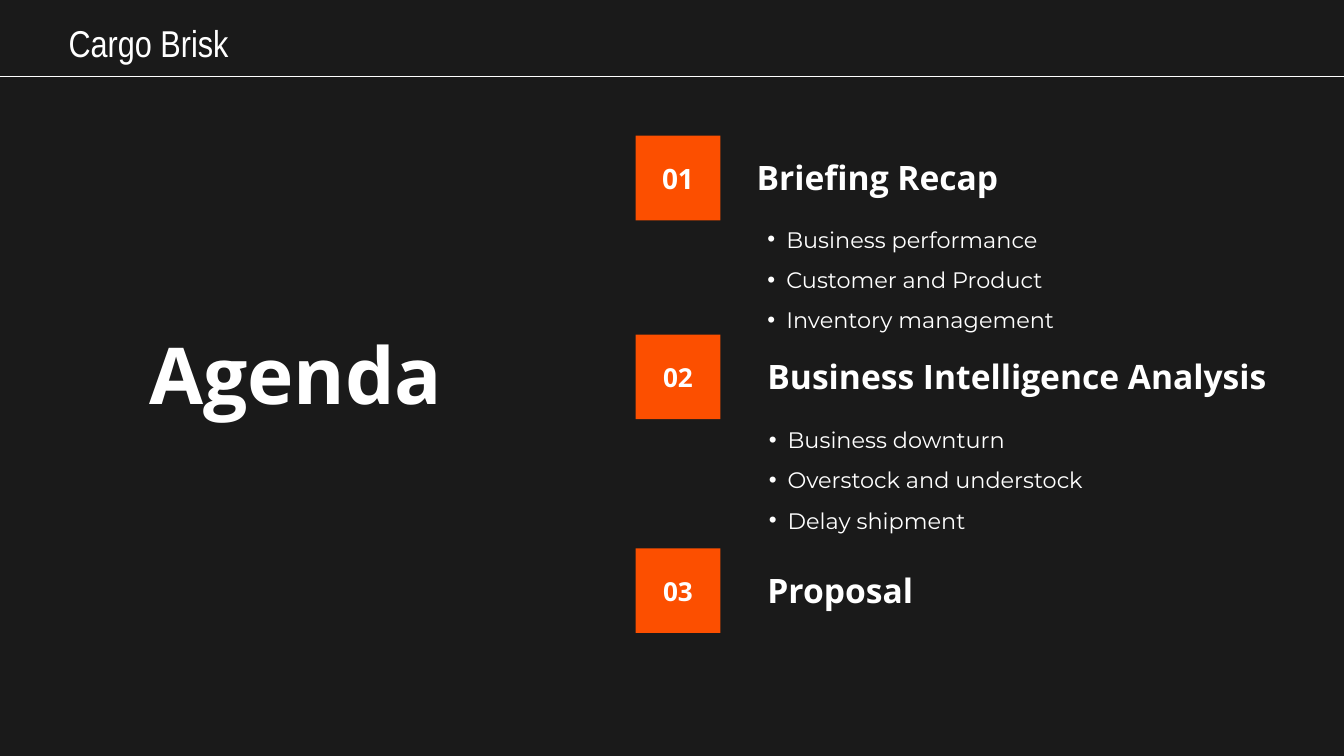
import pptx
import pptx.util
import pptx.dml.color
import pptx.enum.shapes
import pptx.enum.text
import pptx.oxml
import pptx.oxml.ns

Inches, Pt = pptx.util.Inches, pptx.util.Pt
ALIGN = pptx.enum.text.PP_ALIGN

# Content
BRAND = "Cargo Brisk"
TITLE = "Agenda"
TOPICS = [  # number, its size, top, heading, its left and width, list left and top, points
    ("01", 15, 1.01, "Briefing Recap", 5.56, 4.06, 5.64, 1.54,
     ["Business performance", "Customer and Product", "Inventory management"]),
    ("02", 14, 2.49, "Business Intelligence Analysis", 5.64, 4.06, 5.65, 3.03,
     ["Business downturn", "Overstock and understock", "Delay shipment"]),
    ("03", 14, 4.08, "Proposal", 5.64, 1.57, 0, 0, []),
]

# Look
WIDE = 10
HIGH = WIDE * 9 / 16
COLORS = {"back": "1A1A1A", "text": "FFFFFF", "box": "FC4F00"}
FONTS = {
    "brand": {"name": "Arial Narrow", "size": Pt(20)},
    "title": {"name": "Open Sans", "size": Pt(42), "bold": True},
    "head": {"name": "Open Sans", "size": Pt(18), "bold": True},
    "num": {"name": "Open Sans", "bold": True},
    "point": {"name": "Montserrat", "size": Pt(12)},
}
PADS = {"margin_left": Inches(0.07), "margin_right": Inches(0.07),
        "margin_top": Inches(0.04), "margin_bottom": Inches(0.04),
        "word_wrap": True}
BOX_X, BOX = 4.73, 0.63
HEAD_GAP, HEAD_H = 0.12, 0.38
LIST_W, LIST_H, INDENT = 3.88, 0.88, 0.14


def color(key):
    return pptx.dml.color.RGBColor.from_string(COLORS[key])


def apply(item, values):
    for key, value in values.items():
        setattr(item, key, value)


def write(shape, lines, style, align=ALIGN.LEFT):
    frame = shape.text_frame
    apply(frame, PADS)
    for i, line in enumerate(lines):
        para = frame.paragraphs[0] if i == 0 else frame.add_paragraph()
        para.alignment = align
        run = para.add_run()
        run.text = line
        apply(run.font, style)
        run.font.color.rgb = color("text")
    return frame


def add_text(slide, area, lines, style, align=ALIGN.LEFT):
    shape = slide.shapes.add_textbox(*map(Inches, area))
    return write(shape, lines, style, align)


def add_box(slide, top, num, size):
    area = map(Inches, (BOX_X, top, BOX, BOX))
    box = slide.shapes.add_shape(pptx.enum.shapes.MSO_SHAPE.RECTANGLE, *area)
    box.shadow.inherit = False
    box.fill.solid()
    box.fill.fore_color.rgb = color("box")
    box.line.fill.background()
    frame = write(box, [num], {**FONTS["num"], "size": Pt(size)}, ALIGN.CENTER)
    frame.vertical_anchor = pptx.enum.text.MSO_ANCHOR.MIDDLE


def add_bullet(para):
    para.line_spacing = 1.5
    props = para._p.get_or_add_pPr()
    props.set("marL", str(Inches(INDENT)))
    props.set("indent", str(-Inches(INDENT)))
    space = pptx.oxml.ns.nsdecls("a")
    for part in (
        f'<a:buClr {space}><a:srgbClr val="{COLORS["text"]}"/></a:buClr>',
        f'<a:buFont {space} typeface="Arial"/>',
        f'<a:buChar {space} char="•"/>',
    ):
        props.append(pptx.oxml.parse_xml(part))


def add_rule(slide, top):
    ends = map(Inches, (0, top, WIDE, top))
    rule = slide.shapes.add_connector(
        pptx.enum.shapes.MSO_CONNECTOR.STRAIGHT, *ends)
    rule.line.color.rgb = color("text")
    rule.line.width = Pt(1)
    rule._element.spPr.append(pptx.oxml.parse_xml(
        f'<a:effectLst {pptx.oxml.ns.nsdecls("a")}/>'))


def main():
    deck = pptx.Presentation()
    deck.slide_width, deck.slide_height = Inches(WIDE), Inches(HIGH)
    slide = deck.slides.add_slide(deck.slide_layouts[6])
    slide.background.fill.solid()
    slide.background.fill.fore_color.rgb = color("back")

    # Header and title
    add_text(slide, (0.44, 0.11, 2.1, 0.41), [BRAND], FONTS["brand"])
    add_rule(slide, 0.57)
    add_text(slide, (1.04, 2.39, 2.45, 0.78), [TITLE], FONTS["title"])

    # Topics: numbered box, heading beside it, points below
    for num, size, top, head, left, width, list_x, list_y, points in TOPICS:
        add_box(slide, top, num, size)
        area = (left, top + HEAD_GAP, width, HEAD_H)
        add_text(slide, area, [head], FONTS["head"])
        if points:
            area = (list_x, list_y, LIST_W, LIST_H)
            frame = add_text(slide, area, points, FONTS["point"], ALIGN.JUSTIFY)
            for para in frame.paragraphs:
                add_bullet(para)

    deck.save("out.pptx")


if __name__ == "__main__":
    main()
